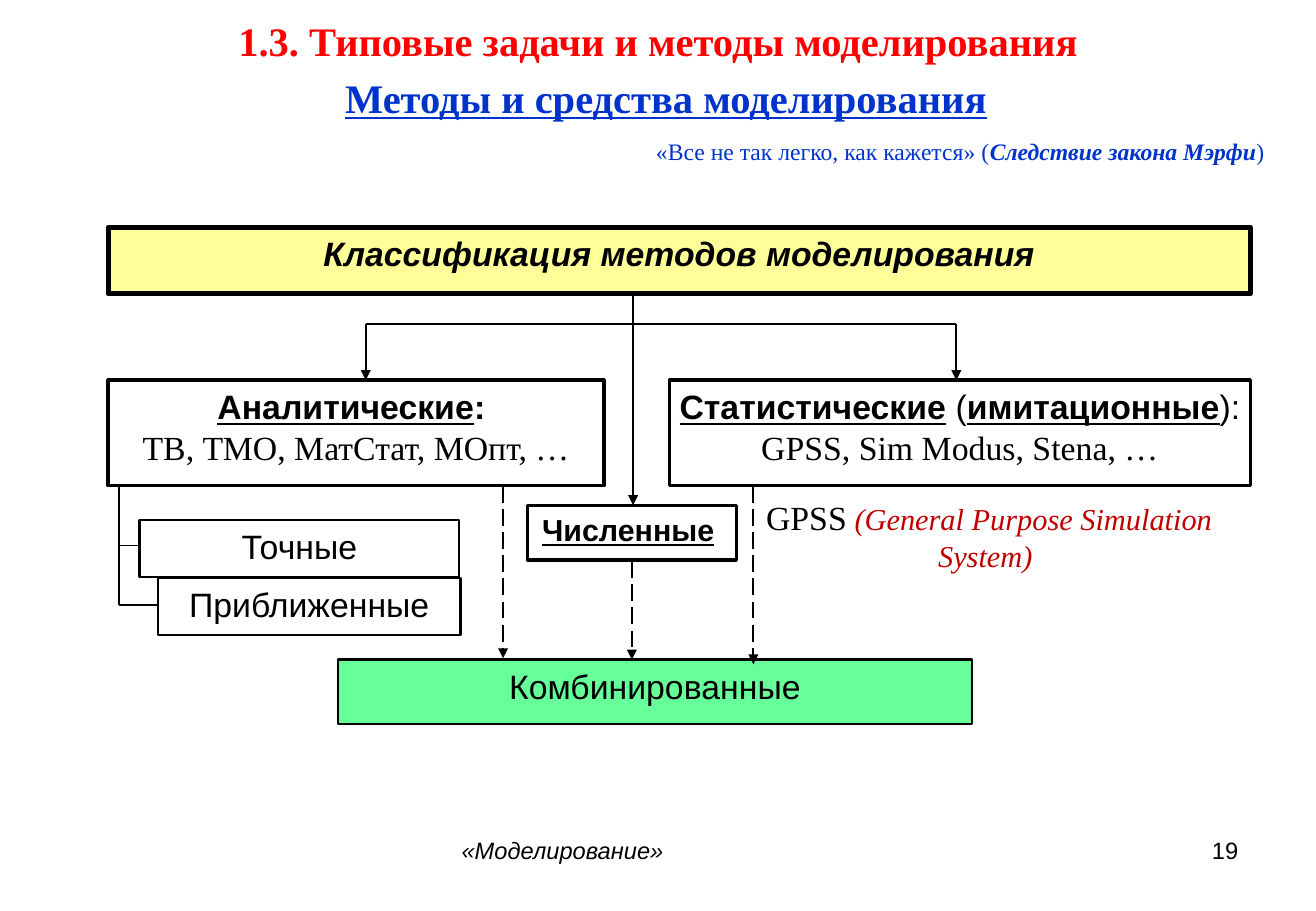
from lxml import etree
from pptx import Presentation
from pptx import util as u
from pptx.dml.color import RGBColor
from pptx.enum import dml, shapes, text
from pptx.oxml.ns import qn

CELL = 0.1  # inches per grid column and row
COLUMNS, ROWS = 108.3, 75
COLORS = {"ink": "000000", "paper": "FFFFFF", "heading": "FF0000", "accent": "0033CC",
          "note": "C00000", "banner": "FFFF99", "result": "66FF99"}
SANS, SERIF = "Arial", "Times New Roman"
ALIGN = text.PP_ALIGN


def cells(count):
    return u.Inches(count * CELL)


def color(name):
    return RGBColor.from_string(COLORS[name])


def place(item, area):
    item.left, item.top, item.width, item.height = map(cells, area)


def write(box, lines, align=ALIGN.CENTER, side=1, **common):
    """Each line is a list of (text, format) spans; formats override the common one."""
    frame = box.text_frame
    frame.word_wrap = True
    frame.auto_size = text.MSO_AUTO_SIZE.NONE
    frame.vertical_anchor = text.MSO_ANCHOR.TOP
    frame.margin_left = frame.margin_right = cells(side)
    frame.margin_top = frame.margin_bottom = cells(0.5)
    for index, spans in enumerate(lines):
        para = frame.add_paragraph() if index else frame.paragraphs[0]
        para.alignment = align
        for wording, changes in spans:
            style = {"size": 20, "font": SANS, "ink": "ink", **common, **changes}
            span = para.add_run()
            span.text = wording
            span.font.size = u.Pt(style["size"])
            span.font.name = style["font"]
            span.font.color.rgb = color(style["ink"])
            span.font.bold = style.get("bold", False)
            span.font.italic = style.get("italic", False)
            span.font.underline = style.get("underline", False)


def label(page, area, spans, **style):
    box = page.shapes.add_textbox(*map(cells, area))
    write(box, [spans], **style)


def node(page, area, lines, fill="paper", weight=1.5, **style):
    box = page.shapes.add_shape(shapes.MSO_SHAPE.RECTANGLE, *map(cells, area))
    box.shadow.inherit = False
    box.fill.solid()
    box.fill.fore_color.rgb = color(fill)
    box.line.color.rgb = color("ink")
    box.line.width = u.Pt(weight)
    write(box, lines, side=0.2, **style)


def link(page, start, end, weight=1.25, arrow=False, dashed=False):
    line = page.shapes.add_connector(shapes.MSO_CONNECTOR.STRAIGHT, *map(cells, start + end))
    line.line.color.rgb = color("ink")
    line.line.width = u.Pt(weight)
    if dashed:
        line.line.dash_style = dml.MSO_LINE.LONG_DASH
    properties = line._element.spPr
    if arrow:
        etree.SubElement(properties.find(qn("a:ln")), qn("a:tailEnd"), type="triangle")
    etree.SubElement(properties, qn("a:effectLst"))


def add_headings(page):
    title = page.shapes.title
    place(title, (2.1, 0.8, 104.1, 3.8))
    write(title, [[("1.3. Типовые задачи и методы моделирования", {})]],
          size=24, font=SERIF, ink="heading", bold=True)
    label(page, (3.6, 5.5, 102.4, 5), [("Методы и средства моделирования", {})],
          size=24, font=SERIF, ink="accent", bold=True, underline=True)
    label(page, (53, 10.8, 54.2, 3.4),
          [("«Все не так легко, как кажется» (", {}),
           ("Следствие закона Мэрфи", {"bold": True, "italic": True}), (") ", {})],
          align=ALIGN.JUSTIFY, size=14, font=SERIF, ink="accent")


def add_methods(page):
    key = {"bold": True, "underline": True}
    serif = {"font": SERIF}
    node(page, (8.9, 18.7, 94, 5.5), [[("Классификация методов моделирования", {})]],
         fill="banner", weight=3, bold=True, italic=True)
    node(page, (27.8, 54.3, 52.2, 5.3), [[("Комбинированные", {})]], fill="result")
    node(page, (8.9, 31.3, 40.8, 8.7),
         [[("Аналитические", key), (": ", {"bold": True})],
          [("ТВ, ТМО, МатСтат, МОпт, …", serif)]], weight=2)
    node(page, (55.1, 31.3, 47.8, 8.7),
         [[("Статистические", key), (" (", {}), ("имитационные", key), ("):", {})],
          [("GPSS, Sim Modus, Stena, …", serif)]], weight=2)
    node(page, (43.4, 41.6, 17.2, 4.5),
         [[("Численные", key), (" ", {"size": 16})]], weight=2, size=18)
    node(page, (11.5, 42.8, 26.3, 4.7), [[("Точные", {})]])
    node(page, (13, 47.6, 24.9, 4.7), [[("Приближенные", {})]])
    label(page, (61.5, 40.4, 39.8, 7.4),
          [("GPSS", {"size": 20, "ink": "ink"}), (" ", {}),
           ("(General Purpose Simulation System) ", {"italic": True})],
          size=18, font=SERIF, ink="note")


def add_links(page):
    # Classification branches
    link(page, (30.1, 26.7), (78.7, 26.7))
    for column in (30.1, 78.7):
        link(page, (column, 26.7), (column, 31.3), arrow=True)
    link(page, (52.1, 24.2), (52.1, 41.6), arrow=True)
    # Kinds of analytical methods
    link(page, (9.8, 40), (9.8, 49.8), weight=1)
    for row, end in ((44.9, 11.5), (49.8, 13)):
        link(page, (9.8, row), (end, row), weight=1)
    # Paths to the combined methods
    for column, top, bottom in ((41.4, 40, 54.2), (52, 46.2, 54.3), (62, 40, 54.7)):
        link(page, (column, top), (column, bottom), arrow=True, dashed=True)


def add_footer(page):
    label(page, (37, 68.3, 34.3, 5.2), [("«Моделирование»", {})],
          align=ALIGN.LEFT, size=14, italic=True)
    label(page, (77.6, 68.3, 25.3, 5.2), [("19", {})], align=ALIGN.RIGHT, size=14)


def main():
    deck = Presentation()
    deck.slide_width, deck.slide_height = cells(COLUMNS), cells(ROWS)
    page = deck.slides.add_slide(deck.slide_layouts.get_by_name("Title Only"))
    add_headings(page)
    add_methods(page)
    add_links(page)
    add_footer(page)
    deck.save("out.pptx")


if __name__ == "__main__":
    main()
